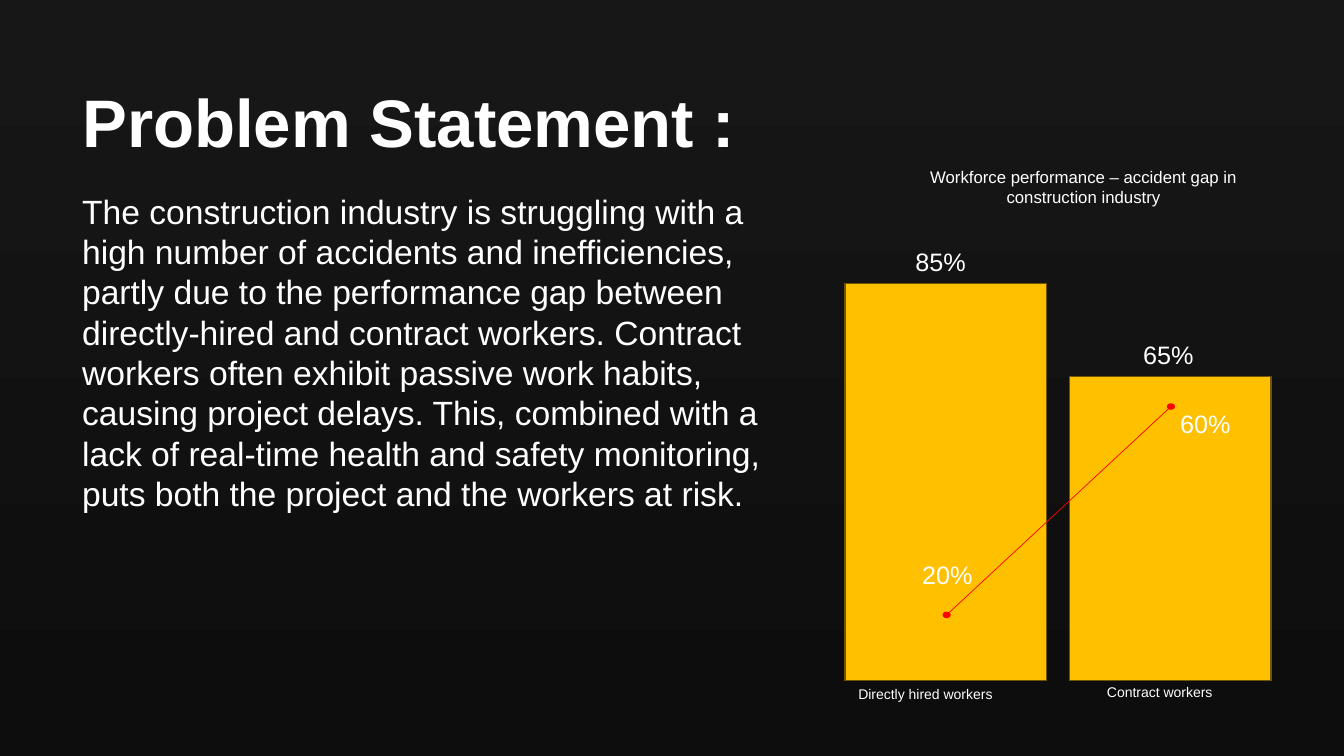
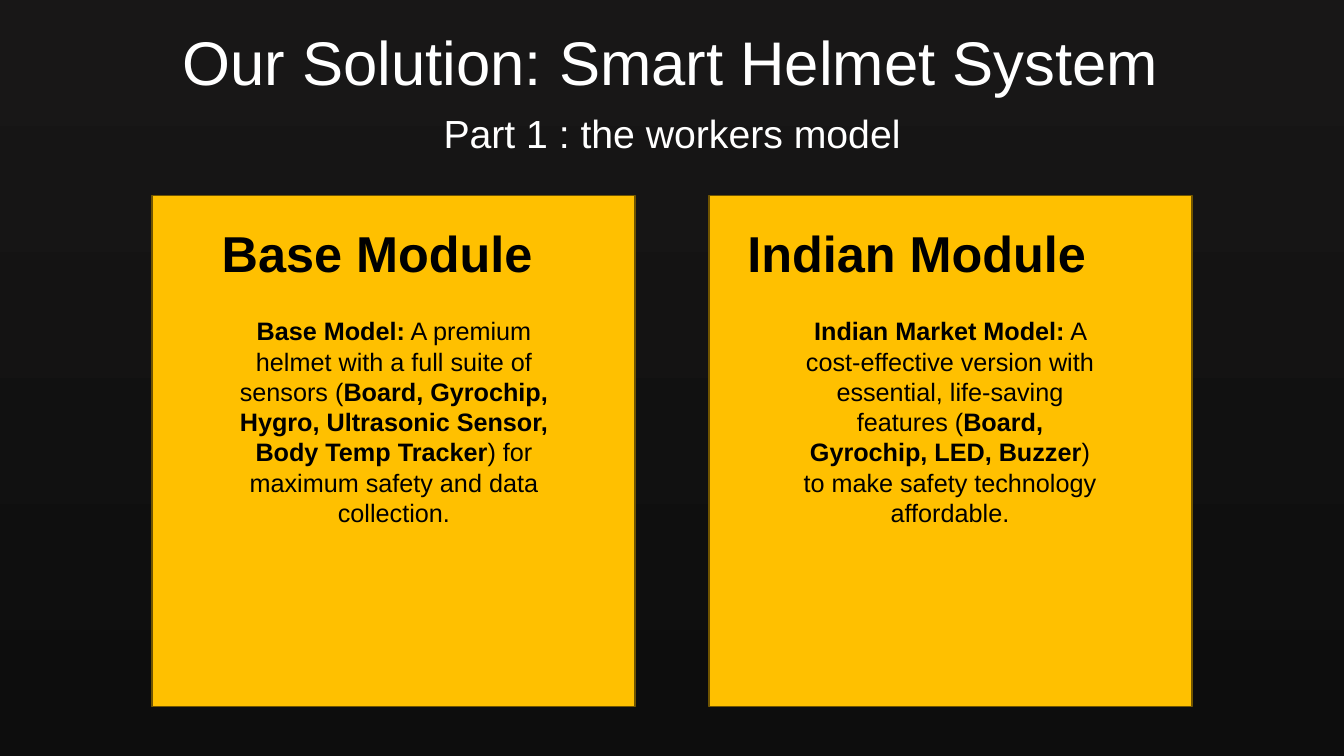
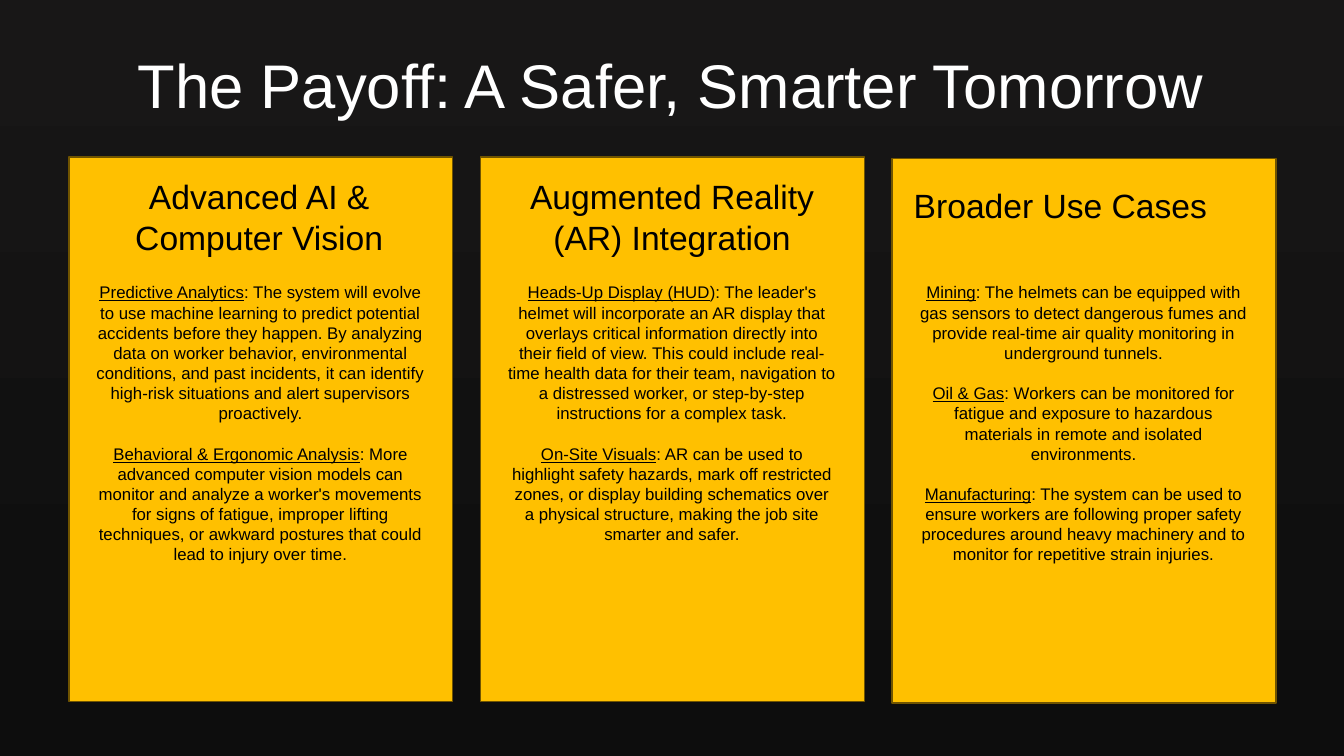
from pptx import Presentation
from pptx.dml.color import RGBColor
from pptx.enum.shapes import MSO_CONNECTOR, MSO_SHAPE
from pptx.enum.text import MSO_ANCHOR, MSO_AUTO_SIZE, PP_ALIGN
from pptx.oxml.ns import qn
from pptx.util import Inches, Pt
from lxml.etree import SubElement

COLORS = {
    "top": "181717",
    "bottom": "0D0D0D",
    "panel": "FFC000",
    "edge": "705400",
    "light": "FFFFFF",
    "dark": "000000",
    "trend": "FF0000",
}
COLUMNS, ROWS = 160, 90
LEFT, CENTER = PP_ALIGN.LEFT, PP_ALIGN.CENTER
BOLD, UNDERLINE = {"bold": True}, {"underline": True}


def color(name):
    return RGBColor.from_string(COLORS[name])


def apply(target, values):
    for name, value in values.items():
        setattr(target, name, value)


class Deck:
    font = "Arial"
    frame_format = {
        "word_wrap": True,
        "auto_size": MSO_AUTO_SIZE.SHAPE_TO_FIT_TEXT,
        "vertical_anchor": MSO_ANCHOR.TOP,
    }

    def __init__(self):
        self.presentation = Presentation()
        apply(self.presentation, {"slide_width": Inches(13.33), "slide_height": Inches(7.5)})
        self.slide = None
        fill = self.presentation.slide_master.background.fill
        fill.gradient()
        fill.gradient_angle = 270
        for stop, name in zip(fill.gradient_stops, ("top", "bottom")):
            stop.color.rgb = color(name)

    def x(self, columns):
        return round(self.presentation.slide_width * columns / COLUMNS)

    def y(self, rows):
        return round(self.presentation.slide_height * rows / ROWS)

    def box(self, left, top, width, height):
        return self.x(left), self.y(top), self.x(width), self.y(height)

    def fill_text(self, shape, paragraphs, size, ink="light", align=LEFT, gap=0, **style):
        frame = shape.text_frame
        apply(frame, self.frame_format)
        for index, runs in enumerate(paragraphs):
            paragraph = frame.add_paragraph() if index else frame.paragraphs[0]
            paragraph.alignment = align
            if index:
                paragraph.space_before = Pt(gap)
            for words, extra in runs:
                run = paragraph.add_run()
                run.text = words
                apply(run.font, {"name": self.font, "size": Pt(size), **style, **extra})
                run.font.color.rgb = color(ink)

    def title(self, words, area, size=44, align=CENTER, **style):
        self.slide = self.presentation.slides.add_slide(self.presentation.slide_layouts[5])
        shape = self.slide.shapes.title
        apply(shape, dict(zip(("left", "top", "width", "height"), self.box(*area))))
        self.fill_text(shape, [[(words, {})]], size, align=align, **style)

    def rich_text(self, paragraphs, area, size, **style):
        self.fill_text(self.slide.shapes.add_textbox(*self.box(*area)), paragraphs, size, **style)

    def text(self, words, area, size, **style):
        self.rich_text([[(words, {})]], area, size, **style)

    def shape(self, area, kind=MSO_SHAPE.RECTANGLE, fill="panel", edge="edge"):
        shape = self.slide.shapes.add_shape(kind, *self.box(*area))
        shape.shadow.inherit = False
        shape.fill.solid()
        shape.fill.fore_color.rgb = color(fill)
        shape.line.color.rgb = color(edge)
        shape.line.width = Pt(1)

    def dot(self, x, y, width=0.8, height=0.6):
        area = (x - width / 2, y - height / 2, width, height)
        self.shape(area, MSO_SHAPE.OVAL, "trend", "trend")

    def line(self, start, end):
        connector = self.slide.shapes.add_connector(
            MSO_CONNECTOR.STRAIGHT, self.x(start[0]), self.y(start[1]), self.x(end[0]), self.y(end[1])
        )
        connector.line.color.rgb = color("trend")
        connector.line.width = Pt(0.5)
        SubElement(connector._element.spPr, qn("a:effectLst"))


def problem_slide(deck):
    deck.title("Problem Statement :", (8.6, 9, 96.1, 10.9), 48, LEFT, bold=True)
    deck.text(
        "The construction industry is struggling with a high number of accidents and "
        "inefficiencies, partly due to the performance gap between directly-hired and "
        "contract workers. Contract workers often exhibit passive work habits, causing "
        "project delays. This, combined with a lack of real-time health and safety "
        "monitoring, puts both the project and the workers at risk.",
        (8.6, 22.1, 85.8, 54.5), 24,
    )
    deck.text(
        "Workforce performance – accident gap in construction industry",
        (107.8, 19.3, 42.4, 6), 12, align=CENTER,
    )
    base, bar_width, step = 81, 24, 26.7
    groups = [
        ("Directly hired workers", 85, 20, 7.2, (101, 81, 24, 3.2), (108.6, 66)),
        ("Contract workers", 65, 60, 7.6, (130.6, 80.8, 18.7, 3.2), (139.3, 48)),
    ]
    points = []
    for index, (name, performance, accidents, inset, name_area, rate_place) in enumerate(groups):
        left = 100.6 + index * step
        height = performance * 0.556
        deck.shape((left, base - height, bar_width, height))
        deck.text(f"{performance}%", (left + inset, base - height - 5, 9, 5), 18)
        deck.text(name, name_area, 10)
        points.append((left + 12.1, 85.6 - accidents * 0.62))
    deck.line(*points)
    for point, (_, _, accidents, _, _, rate_place) in zip(points, groups):
        deck.dot(*point)
        deck.text(f"{accidents}%", (*rate_place, 9, 5), 18)


def solution_slide(deck):
    deck.title("Our Solution: Smart Helmet System", (1.4, 2.3, 157, 10.1))
    deck.text("Part 1 : the workers model", (45.1, 12.4, 69.8, 6.8), 28, align=CENTER)
    modules = [
        ("Base Module", (25.2, 43.3), (26.4, 41), [
            ("Base Model:", BOLD),
            (" A premium helmet with a full suite of sensors (", {}),
            ("Board, Gyrochip, Hygro, Ultrasonic Sensor, Body Temp Tracker", BOLD),
            (") for maximum safety and data collection.", {}),
        ]),
        ("Indian Module", (87.8, 50.6), (93.8, 38.6), [
            ("Indian Market Model:", BOLD),
            (" A cost-effective version with essential, life-saving features (", {}),
            ("Board, Gyrochip, LED, Buzzer", BOLD),
            (") to make safety technology affordable.", {}),
        ]),
    ]
    for index, (heading, heading_span, body_span, runs) in enumerate(modules):
        deck.shape((18.1 + index * 66.3, 23.3, 57.5, 60.8))
        left, width = heading_span
        deck.text(heading, (left, 25.8, width, 8.5), 36, ink="dark", bold=True)
        left, width = body_span
        deck.rich_text([runs], (left, 37, width, 34), 18, ink="dark", align=CENTER)


def payoff_slide(deck):
    deck.title("The Payoff: A Safer, Smarter Tomorrow", (1.4, 5, 157, 10.1))
    cards = [
        ("Advanced AI & Computer Vision", (11, 20.4, 39.7, 10.9), CENTER, 18.7, [
            ("Predictive Analytics",
             ": The system will evolve to use machine learning to predict potential accidents "
             "before they happen. By analyzing data on worker behavior, environmental conditions, "
             "and past incidents, it can identify high-risk situations and alert supervisors "
             "proactively."),
            ("Behavioral & Ergonomic Analysis",
             ": More advanced computer vision models can monitor and analyze a worker's movements "
             "for signs of fatigue, improper lifting techniques, or awkward postures that could "
             "lead to injury over time."),
        ]),
        ("Augmented Reality (AR) Integration", (57.7, 20.4, 44.6, 10.9), CENTER, 18.7, [
            ("Heads-Up Display (HUD",
             "): The leader's helmet will incorporate an AR display that overlays critical "
             "information directly into their field of view. This could include real-time health "
             "data for their team, navigation to a distressed worker, or step-by-step instructions "
             "for a complex task."),
            ("On-Site Visuals",
             ": AR can be used to highlight safety hazards, mark off restricted zones, or display "
             "building schematics over a physical structure, making the job site smarter and safer."),
        ]),
        ("Broader Use Cases", (107.6, 21.4, 42.7, 6), LEFT, 18.9, [
            ("Mining",
             ": The helmets can be equipped with gas sensors to detect dangerous fumes and provide "
             "real-time air quality monitoring in underground tunnels."),
            ("Oil & Gas",
             ": Workers can be monitored for fatigue and exposure to hazardous materials in remote "
             "and isolated environments."),
            ("Manufacturing",
             ": The system can be used to ensure workers are following proper safety procedures "
             "around heavy machinery and to monitor for repetitive strain injuries."),
        ]),
    ]
    for index, (heading, heading_area, align, top, topics) in enumerate(cards):
        left = 8.2 + index * 49
        deck.shape((left, top, 45.7, 64.8))
        deck.text(heading, heading_area, 24, ink="dark", align=align)
        paragraphs = [[(topic, UNDERLINE), (details, {})] for topic, details in topics]
        deck.rich_text(paragraphs, (left + 2.1, 33, 41.4, 42), 12, ink="dark", align=CENTER, gap=14.4)


def main():
    deck = Deck()
    for build in (problem_slide, solution_slide, payoff_slide):
        build(deck)
    deck.presentation.save("out.pptx")


if __name__ == "__main__":
    main()
